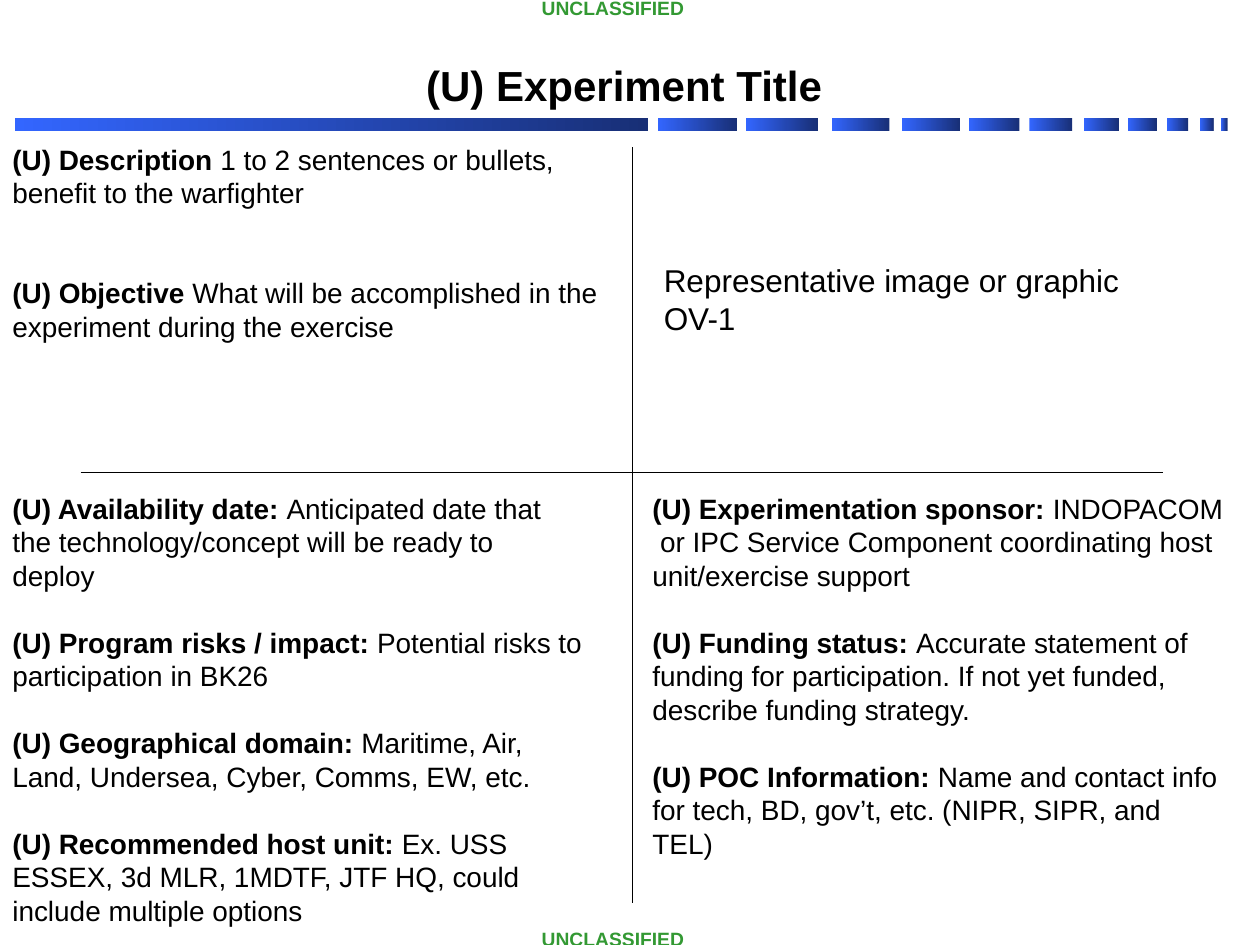
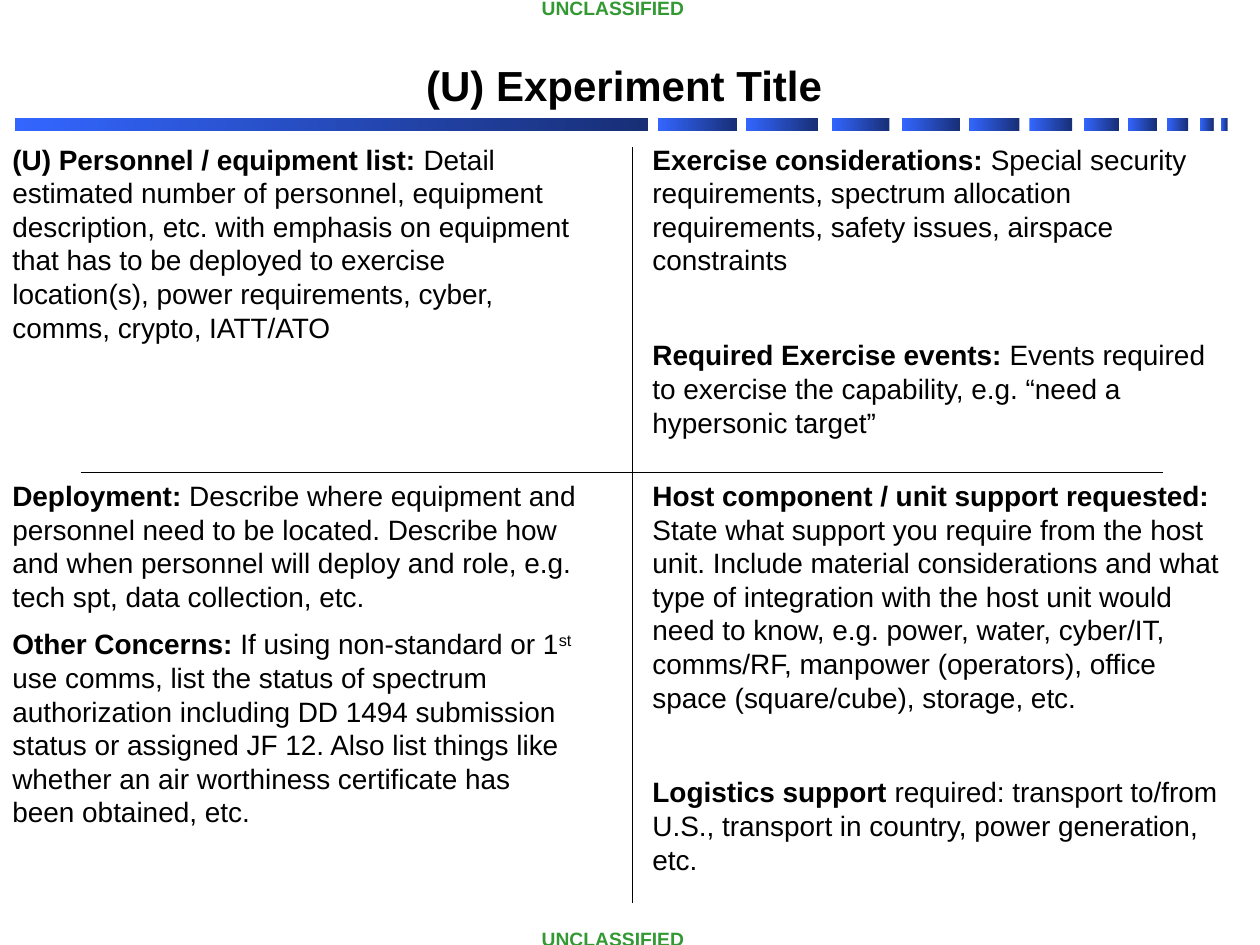
from dataclasses import dataclass
from pptx import Presentation
from pptx.dml.color import RGBColor as RGB
from pptx.enum.shapes import MSO_CONNECTOR as LINK, MSO_SHAPE as SHAPE
from pptx.enum.text import MSO_AUTO_SIZE as FIT, PP_ALIGN as ALIGN
from pptx.oxml.ns import qn
from pptx.util import Inches, Pt
from lxml import etree


@dataclass(frozen=True)
class Theme:
    font: str = "Arial"
    ink: RGB = RGB(0, 0, 0)
    mark: RGB = RGB(0x33, 0x99, 0x33)
    light: RGB = RGB(0x33, 0x66, 0xFF)
    dark: RGB = RGB(0x18, 0x2F, 0x76)
    title: int = 24
    hint: int = 18
    body: int = 16
    tag: int = 11
    rule: float = 0.75


look = Theme()
TITLE = "(U) Experiment Title "
TAG = "UNCLASSIFIED"

# Left edge and width of each dash in the band below the title
DASHES = [(0.12, 5.02), (5.22, 0.63), (5.92, 0.57), (6.6, 0.46),
          (7.16, 0.46), (7.69, 0.4), (8.17, 0.34), (8.6, 0.28),
          (8.95, 0.23), (9.26, 0.17), (9.52, 0.11), (9.69, 0.05)]
RULES = [(5.02, 1.17, 5.02, 7.17), (0.64, 3.75, 9.23, 3.75)]

# Space in points between the items of a quarter
HALF, LINE, WIDE, TWO = 8, 19, 35, 38

# Each quarter: place, gap between items, items as (bold head, plain rest);
# "^" in the rest sets off a superscript
FIRST = [
    ((0, 1.08, 5, 1.99), TWO, [
        ("(U) Description ",
         "1 to 2 sentences or bullets, benefit to the warfighter"),
        ("(U) Objective ",
         "What will be accomplished in the experiment during the exercise"),
    ]),
    ((0, 3.85, 4.73, 3.6), LINE, [
        ("(U) Availability date: ",
         "Anticipated date that the technology/concept will be ready to "
         "deploy"),
        ("(U) Program risks / impact: ",
         "Potential risks to participation in BK26"),
        ("(U) Geographical domain:",
         " Maritime, Air, Land, Undersea, Cyber, Comms, EW, etc."),
        ("(U) Recommended host unit: ",
         "Ex. USS ESSEX, 3d MLR, 1MDTF, JTF HQ, could include multiple "
         "options"),
    ]),
    ((5.08, 3.85, 4.76, 3.06), LINE, [
        ("(U) Experimentation sponsor: ",
         "INDOPACOM  or IPC Service Component coordinating host "
         "unit/exercise support"),
        ("(U) Funding status: ",
         "Accurate statement of funding for participation. If not yet "
         "funded, describe funding strategy."),
        ("(U) POC Information: ",
         "Name and contact info for tech, BD, gov’t, etc. (NIPR, SIPR, and "
         "TEL)"),
    ]),
]
SECOND = [
    ((0, 1.08, 4.67, 1.72), HALF, [
        ("(U) Personnel / equipment list: ",
         "Detail estimated number of personnel, equipment description, etc. "
         "with emphasis on equipment that has to be deployed to exercise "
         "location(s), power requirements, cyber, comms, crypto, IATT/ATO"),
    ]),
    ((5.08, 1.08, 4.75, 2.52), WIDE, [
        ("Exercise considerations: ",
         "Special security requirements, spectrum allocation requirements, "
         "safety issues, airspace constraints"),
        ("Required Exercise events: ",
         "Events required to exercise the capability, e.g. “need a "
         "hypersonic target”"),
    ]),
    ((0, 3.75, 4.67, 2.93), HALF, [
        ("Deployment: ",
         "Describe where equipment and personnel need to be located. "
         "Describe how and when personnel will deploy and role, e.g. tech "
         "spt, data collection, etc."),
        ("Other Concerns:",
         " If using non-standard or 1^st^ use comms, list the status of "
         "spectrum authorization including DD 1494 submission status or "
         "assigned JF 12. Also list things like whether an air worthiness "
         "certificate has been obtained, etc."),
    ]),
    ((5.08, 3.75, 4.75, 3.33), WIDE, [
        ("Host component / unit support requested: ",
         "State what support you require from the host unit. Include "
         "material considerations and what type of integration with the "
         "host unit would need to know, e.g. power, water, cyber/IT, "
         "comms/RF, manpower (operators), office space (square/cube), "
         "storage, etc."),
        ("Logistics support ",
         "required: transport to/from U.S., transport in country, power "
         "generation, etc."),
    ]),
]


def style(run, size, bold=False, color=look.ink):
    font = run.font
    font.name, font.size, font.bold = look.font, Pt(size), bold
    font.color.rgb = color


def frame(page, place, wrap=True):
    """Add a text box and return its text frame."""
    text = page.shapes.add_textbox(*map(Inches, place)).text_frame
    text.word_wrap = wrap
    text.auto_size = FIT.SHAPE_TO_FIT_TEXT
    return text


deck = Presentation()
deck.slide_width, deck.slide_height = Inches(10), Inches(7.5)

for parts in (FIRST, SECOND):
    page = deck.slides.add_slide(deck.slide_layouts[6])

    for left, width in DASHES:
        dash = page.shapes.add_shape(SHAPE.RECTANGLE, Inches(left),
                                     Inches(0.94), Inches(width), Inches(0.1))
        dash.shadow.inherit = False
        dash.line.fill.background()
        dash.fill.gradient()
        dash.fill.gradient_angle = 0
        for stop, color in zip(dash.fill.gradient_stops,
                               (look.light, look.dark)):
            stop.color.rgb = color

    for ends in RULES:
        rule = page.shapes.add_connector(LINK.STRAIGHT, *map(Inches, ends))
        rule.line.color.rgb = look.ink
        rule.line.width = Pt(look.rule)
        etree.SubElement(rule._element.spPr, qn("a:effectLst"))

    for top in (-0.08, 7.31):
        text = frame(page, (4.2, top, 1.35, 0.29), wrap=False)
        text.text = TAG
        style(text.paragraphs[0].runs[0], look.tag, True, look.mark)

    text = frame(page, (1.25, 0.42, 7.5, 0.5))
    text.text = TITLE
    text.paragraphs[0].alignment = ALIGN.CENTER
    style(text.paragraphs[0].runs[0], look.title, True)

    for place, gap, items in parts:
        text = frame(page, place)
        for num, (head, rest) in enumerate(items):
            para = text.add_paragraph() if num else text.paragraphs[0]
            para.space_before = Pt(gap if num else 0)
            para.text = head
            style(para.runs[0], look.body, True)
            for part, words in enumerate(rest.split("^")):
                run = para.add_run()
                run.text = words
                style(run, look.body)
                if part % 2:
                    run.font._element.set("baseline", "30000")

hint = frame(deck.slides[0], (5.17, 2.02, 4.5, 0.71))
hint.text = "Representative image or graphic\nOV-1"
for para in hint.paragraphs:
    style(para.runs[0], look.hint)

deck.save("out.pptx")
